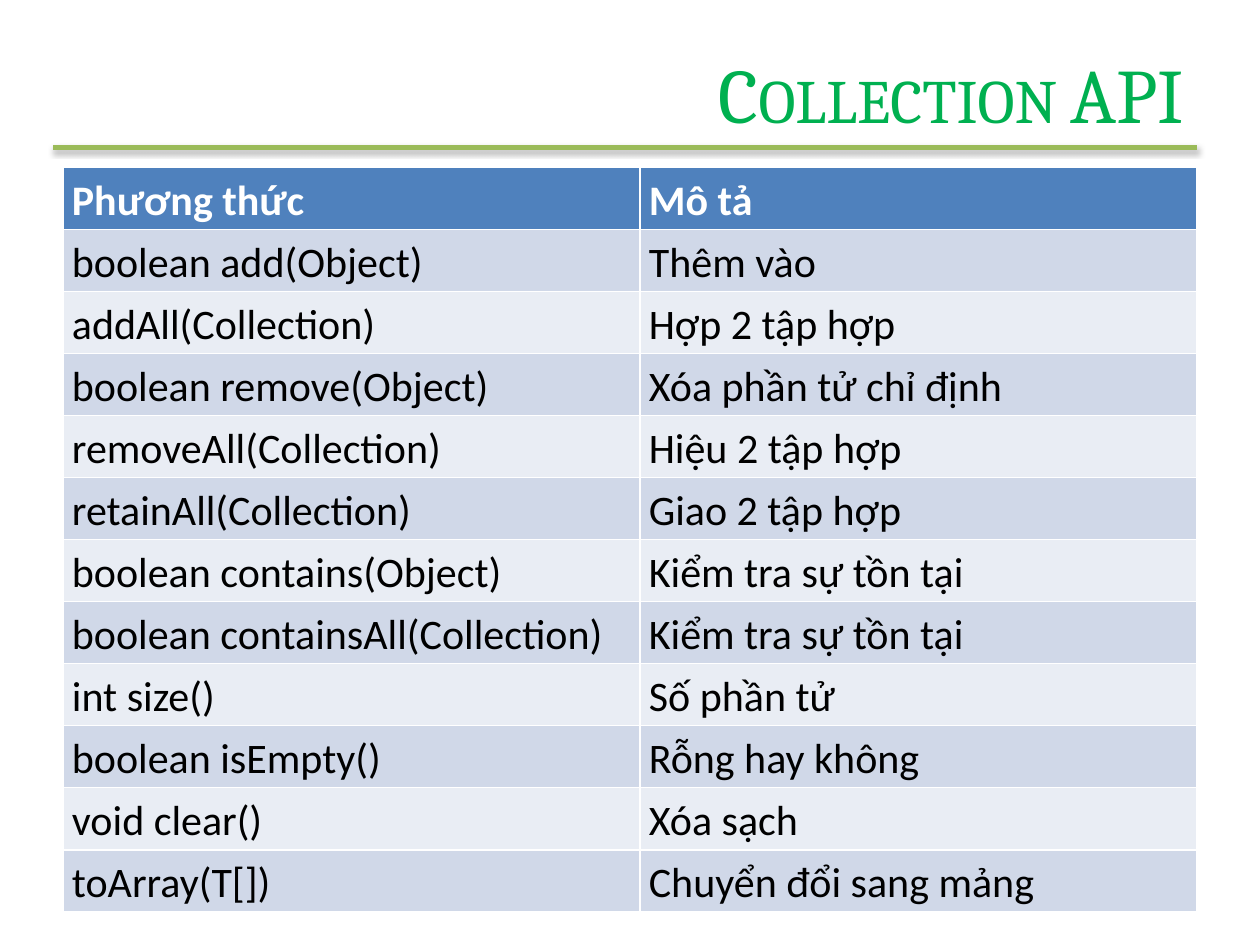
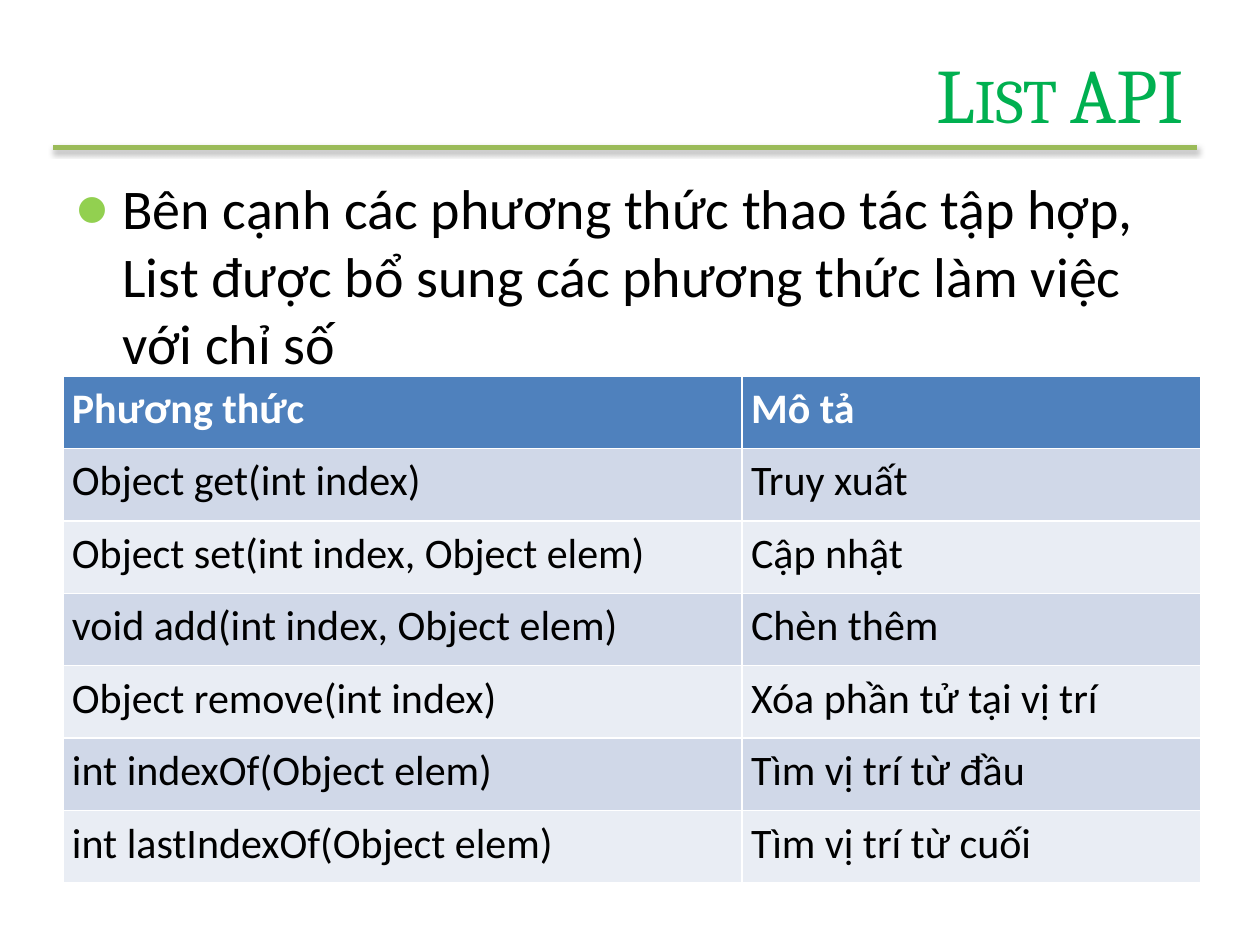
from dataclasses import dataclass

from lxml.etree import SubElement
from pptx import Presentation
from pptx.dml.color import RGBColor
from pptx.enum.shapes import MSO_CONNECTOR
from pptx.enum.text import MSO_ANCHOR, MSO_AUTO_SIZE, PP_ALIGN
from pptx.oxml.ns import qn
from pptx.util import Cm, Pt


@dataclass(frozen=True)
class Theme:
    title: str = "00B050"
    rule: str = "9BBB59"
    bullet: str = "92D050"
    text: str = "000000"
    header: str = "4F81BD"
    header_text: str = "FFFFFF"
    bands: tuple = ("E9EDF4", "D0D8E8")
    title_font: str = "Cambria"
    body_font: str = "Calibri"
    title_size: int = 44
    body_size: int = 32
    cell_size: int = 24


THEME = Theme()
LEFT = Cm(1.27)
BODY_TOP = Cm(3.38)

HEADINGS = ("Phương thức", "Mô tả")
COLLECTION_METHODS = [
    ("boolean add(Object)", "Thêm vào"),
    ("addAll(Collection)", "Hợp 2 tập hợp"),
    ("boolean remove(Object)", "Xóa phần tử chỉ định"),
    ("removeAll(Collection)", "Hiệu 2 tập hợp"),
    ("retainAll(Collection)", "Giao 2 tập hợp"),
    ("boolean contains(Object)", "Kiểm tra sự tồn tại"),
    ("boolean containsAll(Collection)", "Kiểm tra sự tồn tại"),
    ("int size()", "Số phần tử"),
    ("boolean isEmpty()", "Rỗng hay không"),
    ("void clear()", "Xóa sạch"),
    ("toArray(T[])", "Chuyển đổi sang mảng"),
]
LIST_METHODS = [
    ("Object get(int index)", "Truy xuất"),
    ("Object set(int index, Object elem)", "Cập nhật"),
    ("void add(int index, Object elem)", "Chèn thêm"),
    ("Object remove(int index)", "Xóa phần tử tại vị trí"),
    ("int indexOf(Object elem)", "Tìm vị trí từ đầu"),
    ("int lastIndexOf(Object elem)", "Tìm vị trí từ cuối"),
]
LIST_INTRO = ("Bên cạnh các phương thức thao tác tập hợp, List được bổ sung "
              "các phương thức làm việc với chỉ số")


def write(tf, text, *, size, color=THEME.text, font=THEME.body_font, bold=False,
          align=PP_ALIGN.LEFT, spacing=None, before=0, after=0, small_caps=False):
    tf.word_wrap = True
    p = tf.paragraphs[0]
    p.alignment = align
    p.line_spacing = spacing
    p.space_before, p.space_after = Pt(before), Pt(after)
    r = p.add_run()
    r.text = text
    r.font.name, r.font.size, r.font.bold = font, Pt(size), bold
    r.font.color.rgb = RGBColor.from_string(color)
    if small_caps:
        r.font._element.set("cap", "small")
    return p


def add_rule(s):
    line = s.shapes.add_connector(MSO_CONNECTOR.STRAIGHT, Cm(1.07), Cm(2.97), Cm(24.13), Cm(2.97))
    line.line.color.rgb = RGBColor.from_string(THEME.rule)
    line.line.width = Pt(3)
    effects = SubElement(line._element.spPr, qn("a:effectLst"))
    shadow = SubElement(effects, qn("a:outerShdw"), blurRad=str(Pt(3.1)), dist=str(Pt(1.8)),
                        dir="5400000", rotWithShape="0")
    color = SubElement(shadow, qn("a:srgbClr"), val="000000")
    SubElement(color, qn("a:alpha"), val="35000")


def add_slide(prs, title):
    s = prs.slides.add_slide(prs.slide_layouts[5])
    add_rule(s)
    sp = s.shapes.title
    sp.left, sp.top, sp.width, sp.height = Cm(3.68), Cm(0.76), Cm(20.45), Cm(2.21)
    tf = sp.text_frame
    tf.auto_size = MSO_AUTO_SIZE.NONE
    tf.vertical_anchor = MSO_ANCHOR.MIDDLE
    write(tf, title, size=THEME.title_size, color=THEME.title, font=THEME.title_font,
          align=PP_ALIGN.RIGHT, small_caps=True)
    return s


def add_bullet(s, text):
    sp = s.shapes.add_textbox(LEFT, BODY_TOP, Cm(22.86), Cm(4.01))
    p = write(sp.text_frame, text, size=THEME.body_size, before=0.2 * THEME.body_size)
    pPr = p._p.get_or_add_pPr()
    indent = Cm(0.95)
    pPr.set("marL", str(indent))
    pPr.set("indent", str(-indent))
    color = SubElement(pPr, qn("a:buClr"))
    SubElement(color, qn("a:srgbClr"), val=THEME.bullet)
    SubElement(pPr, qn("a:buFont"), typeface=THEME.body_font)
    SubElement(pPr, qn("a:buChar"), char="●")


def add_method_table(s, methods, *, top, widths, row_height):
    rows = [HEADINGS, *methods]
    table = s.shapes.add_table(len(rows), len(widths), LEFT, top, sum(widths),
                               row_height * len(rows)).table
    for column, width in zip(table.columns, widths):
        column.width = width
    for i, row in enumerate(rows):
        table.rows[i].height = row_height
        is_header = i == 0
        fill = THEME.header if is_header else THEME.bands[i % 2]
        for j, text in enumerate(row):
            cell = table.cell(i, j)
            cell.margin_left = cell.margin_right = Cm(0.18)
            cell.margin_top = cell.margin_bottom = 0
            cell.fill.solid()
            cell.fill.fore_color.rgb = RGBColor.from_string(fill)
            write(cell.text_frame, text, size=THEME.cell_size, bold=is_header,
                  color=THEME.header_text if is_header else THEME.text,
                  align=PP_ALIGN.JUSTIFY, spacing=1.15, before=6, after=6)


def main():
    prs = Presentation()
    prs.slide_width, prs.slide_height = Cm(25.4), Cm(19.05)

    s = add_slide(prs, "Collection API")
    add_method_table(s, COLLECTION_METHODS, top=BODY_TOP,
                     widths=(Cm(11.63), Cm(11.23)), row_height=Cm(1.25))

    s = add_slide(prs, "List API")
    add_bullet(s, LIST_INTRO)
    add_method_table(s, LIST_METHODS, top=Cm(7.58),
                     widths=(Cm(13.69), Cm(9.25)), row_height=Cm(1.46))

    prs.save("out.pptx")


main()
